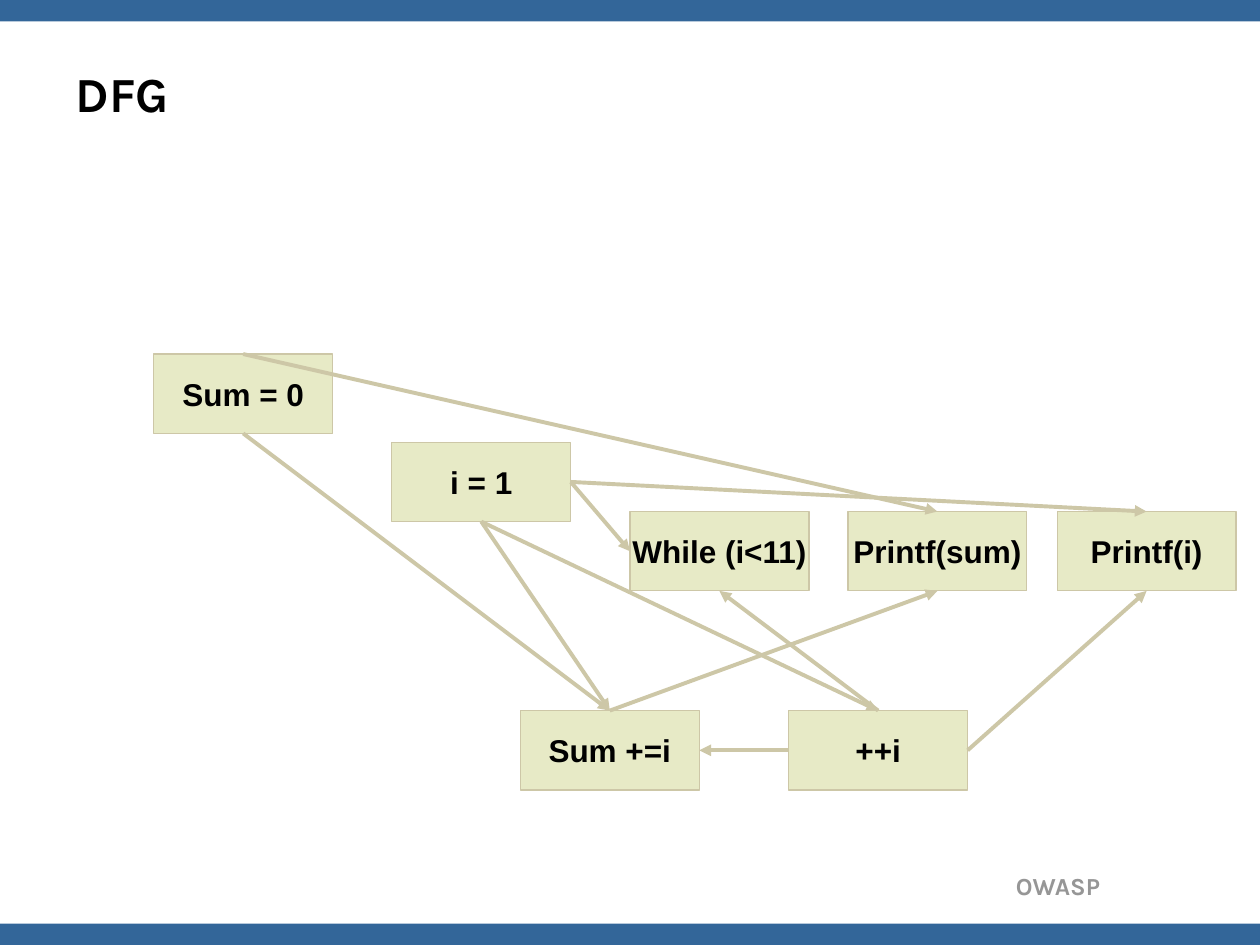
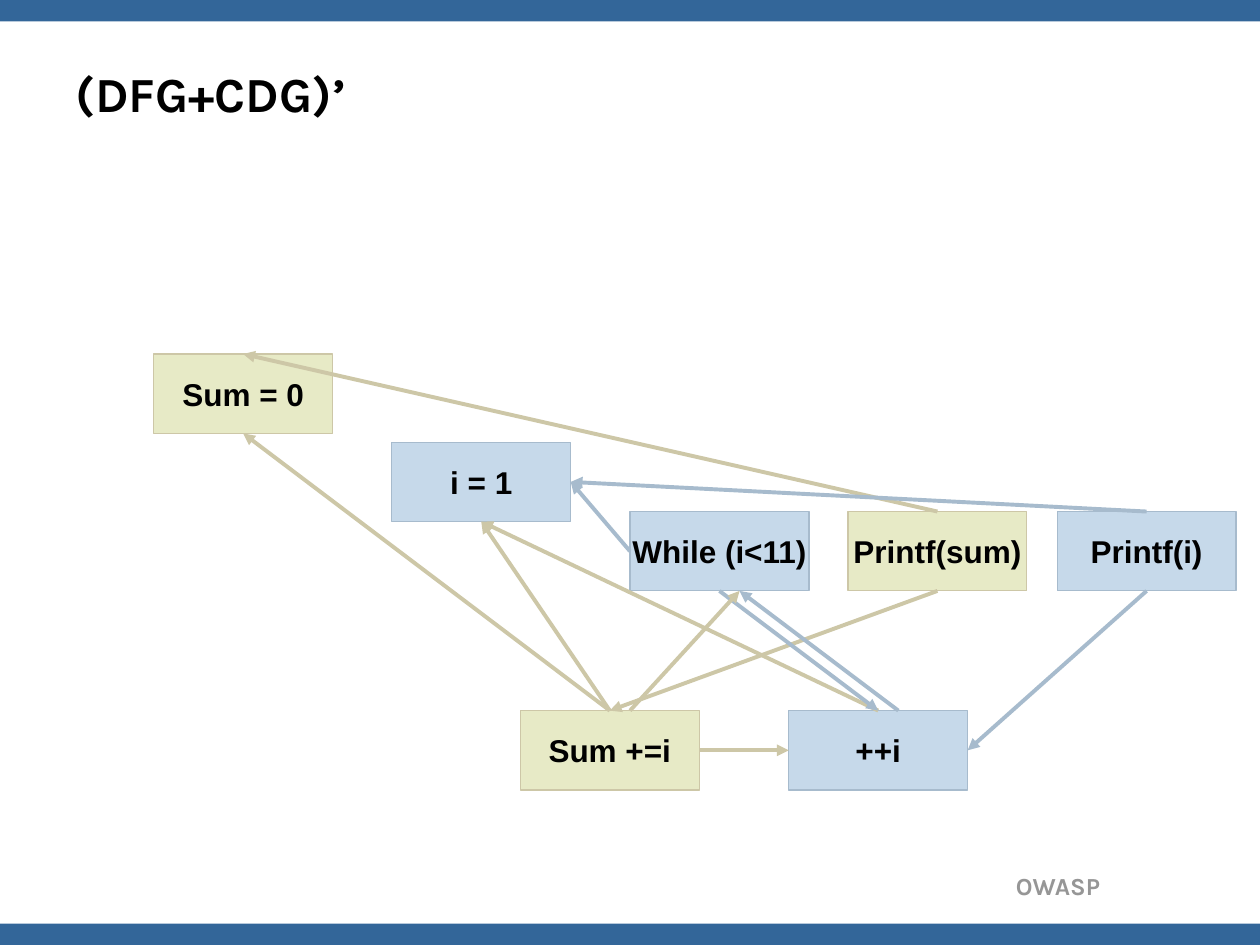
"""Build two dependence-graph slides: the DFG and the reversed DFG+CDG."""
from lxml import etree
from pptx import Presentation
from pptx import util as u
from pptx.dml.color import RGBColor
from pptx.enum import shapes, text
from pptx.oxml import ns

COLORS = {"band": "336699", "footer": "969696", "ink": "000000",
          "tan": "E7EAC6", "tan_line": "CDC7A7",
          "blue": "C6D9EA", "blue_line": "A7BBCD"}
W, H = 10, 7.5
BAND_H = 0.17
BOX_W, BOX_H = 1.42, 0.63
SHIFT = 0.16
TOP, LEFT, BOTTOM, RIGHT = range(4)
COLS = {"sum0": 1.22, "i1": 3.11, "while": 5, "psum": 6.73, "pi": 8.39, "inc": 6.26, "add": 4.13}
ROWS = {"sum0": 2.81, "i1": 3.51, "while": 4.06, "psum": 4.06, "pi": 4.06, "inc": 5.64, "add": 5.64}
LABELS = {"sum0": "Sum = 0", "i1": "i = 1", "while": "While (i<11)", "psum": "Printf(sum)",
          "pi": "Printf(i)", "inc": "++i", "add": "Sum +=i"}
DATA_EDGES = [("add", TOP, "sum0", BOTTOM), ("add", TOP, "i1", BOTTOM),
              ("inc", TOP, "i1", BOTTOM), ("add", RIGHT, "inc", LEFT),
              ("psum", BOTTOM, "add", TOP), ("while", LEFT, "i1", RIGHT),
              ("psum", TOP, "sum0", TOP), ("pi", TOP, "i1", RIGHT),
              ("pi", BOTTOM, "inc", RIGHT), ("while", BOTTOM, "inc", TOP)]
CONTROL_EDGES = [("add", TOP, "while", BOTTOM), ("inc", TOP, "while", BOTTOM)]
SLICE_NODES = {"i1", "while", "pi", "inc"}
SLICE_EDGES = {("while", "i1"), ("pi", "i1"), ("pi", "inc"), ("while", "inc"), ("inc", "while")}
SLIDES = [
    {"title": "DFG", "arrow": "a:headEnd", "nodes": set(), "edges": set(), "control": []},
    {"title": "(DFG+CDG)’", "arrow": "a:tailEnd", "nodes": SLICE_NODES,
     "edges": SLICE_EDGES, "control": CONTROL_EDGES},
]


def write(shape, words, size, font, color, align, wrap=True):
    """Put one bold line of text into a shape."""
    tf = shape.text_frame
    tf.word_wrap = wrap
    tf.vertical_anchor = text.MSO_ANCHOR.MIDDLE
    p = tf.paragraphs[0]
    p.alignment = align
    r = p.add_run()
    r.text = words
    for key, value in {"size": u.Pt(size), "name": font, "bold": True}.items():
        setattr(r.font, key, value)
    r.font.color.rgb = RGBColor.from_string(COLORS[color])


def add_box(s, left, top, width, height, fill, line=None):
    """Add a flat rectangle, outlined when a line colour is named."""
    sp = s.shapes.add_shape(shapes.MSO_SHAPE.RECTANGLE, *map(u.Inches, (left, top, width, height)))
    sp.shadow.inherit = False
    sp.fill.solid()
    sp.fill.fore_color.rgb = RGBColor.from_string(COLORS[fill])
    if line:
        sp.line.color.rgb = RGBColor.from_string(COLORS[line])
        sp.line.width = u.Pt(0.75)
    else:
        sp.line.fill.background()
    return sp


prs = Presentation()
prs.slide_width, prs.slide_height = u.Inches(W), u.Inches(H)

for graph in SLIDES:
    s = prs.slides.add_slide(prs.slide_layouts.get_by_name("Title Only"))
    title = s.shapes.title
    frame = {"left": 0.05 * W, "top": 0.04 * H, "width": 0.9 * W, "height": 0.87}
    for key, value in frame.items():
        setattr(title, key, u.Inches(value))
    write(title, graph["title"], 28, "Karla", "ink", text.PP_ALIGN.LEFT)

    for top in (0, H - BAND_H):
        add_box(s, 0, top, W, BAND_H, "band")
    footer = s.shapes.add_textbox(*map(u.Inches, (6.22, 6.86, 2.61, 0.34)))
    write(footer, "OWASP", 14, "Karla", "footer", text.PP_ALIGN.RIGHT)

    boxes = {}
    for node, label in LABELS.items():
        hue = "blue" if node in graph["nodes"] else "tan"
        boxes[node] = add_box(s, COLS[node], ROWS[node], BOX_W, BOX_H, hue, hue + "_line")
        write(boxes[node], label, 18, "Arial", "ink", text.PP_ALIGN.CENTER, wrap=False)

    for edge in DATA_EDGES + graph["control"]:
        start, start_side, end, end_side = edge
        c = s.shapes.add_connector(shapes.MSO_CONNECTOR.STRAIGHT, 0, 0, 0, 0)
        c.begin_connect(boxes[start], start_side)
        c.end_connect(boxes[end], end_side)
        if edge in CONTROL_EDGES:
            ends = c.begin_x, c.end_x
            c.begin_disconnect() if hasattr(c, "begin_disconnect") else None
            for link in list(c._element.nvCxnSpPr.cNvCxnSpPr):
                link.getparent().remove(link)
            c.begin_x, c.end_x = (x + u.Inches(SHIFT) for x in ends)
        hue = "blue_line" if (start, end) in graph["edges"] else "tan_line"
        c.line.color.rgb = RGBColor.from_string(COLORS[hue])
        c.line.width = u.Pt(2.25)
        etree.SubElement(c.line._get_or_add_ln(), ns.qn(graph["arrow"]), type="triangle")
        etree.SubElement(c._element.spPr, ns.qn("a:effectLst"))

prs.save("out.pptx")
